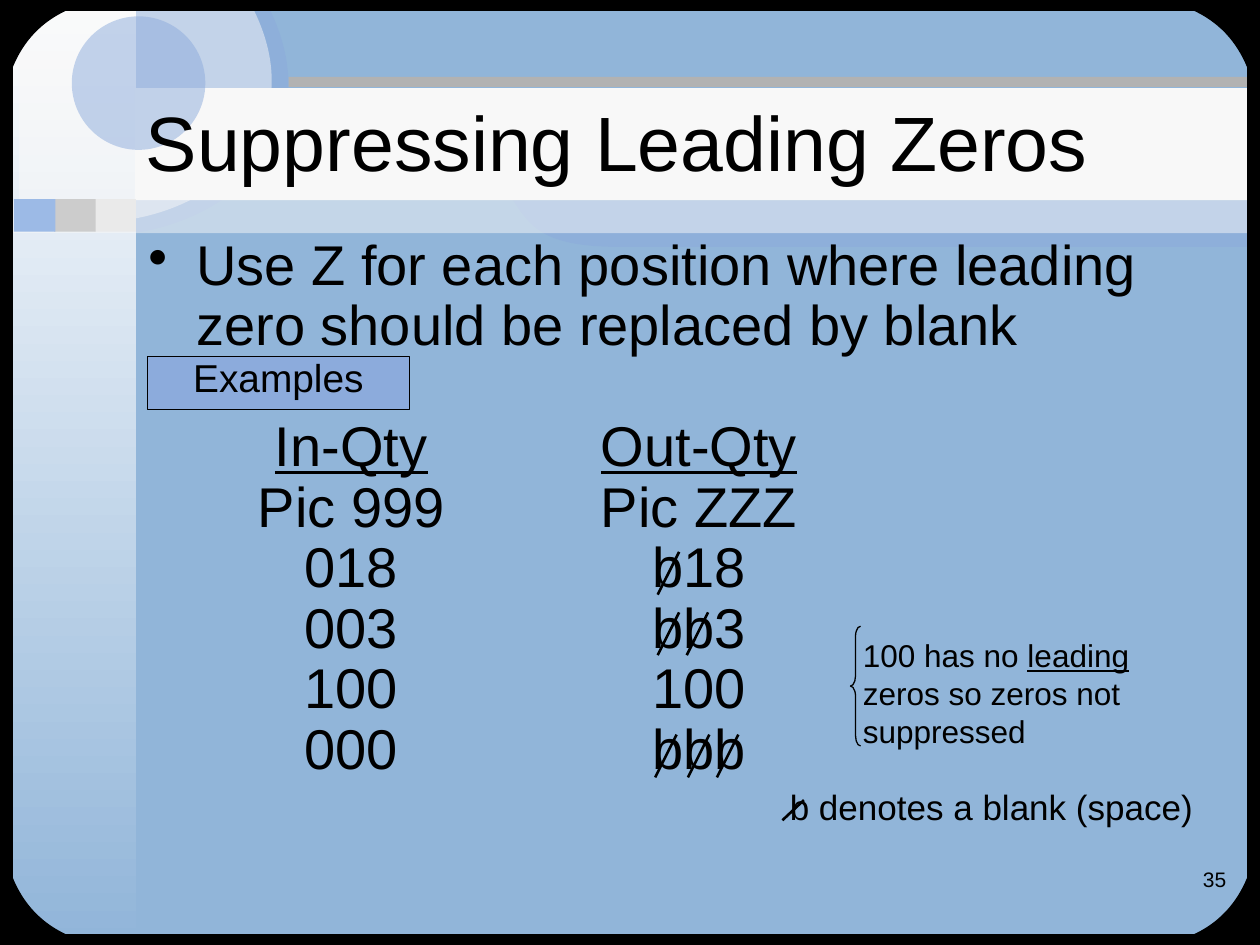
import pptx
import pptx.dml.color
import pptx.enum.shapes
import pptx.enum.text
import pptx.oxml
import pptx.oxml.ns
import pptx.util
from pptx.util import Inches

THEME = {
    "font": "Arial", "black": "000000", "background": "91B5D9", "blue": "8CABDC",
    "pale": "F8F8F8", "bar": "B2B2B2", "white": "FEFEFE",
    "squares": ("EAEAEA", "CCCCCC", "9CBAE6"),
    "title": 44, "body": 32, "label": 22.2, "legend": 20, "note": 18, "number": 12,
    "thin": 0.75, "stroke": 1.5,
}
WIDTH, HEIGHT = 10, 7.5
RECTANGLE = pptx.enum.shapes.MSO_SHAPE.RECTANGLE
OVAL = pptx.enum.shapes.MSO_SHAPE.OVAL
BRACE = pptx.enum.shapes.MSO_SHAPE.LEFT_BRACE
LEFT, CENTER, RIGHT = (pptx.enum.text.PP_ALIGN.LEFT, pptx.enum.text.PP_ALIGN.CENTER,
                       pptx.enum.text.PP_ALIGN.RIGHT)
TOP, MIDDLE = pptx.enum.text.MSO_ANCHOR.TOP, pptx.enum.text.MSO_ANCHOR.MIDDLE

TITLE = "Suppressing Leading Zeros"
BULLET = "Use Z for each position where leading zero should be replaced by blank"
HEADINGS = ["\t", "In-Qty", "\t", "Out-Qty"]
ROWS = [("Pic 999", "Pic ZZZ"), ("018", "b18"), ("003", "bb3"), ("100", "100"), ("000", "bbb")]
COLUMN_CENTERS = (1.61, 4.37)
LEGEND = "b denotes a blank (space)"
NOTE = ["100 has no ", "leading", " zeros so zeros not suppressed"]

SWOOSH = [(4.07, 1.59), (6.99, 1.59), (9.91, 1.59), (9.91, 1.59),
          (9.91, 1.59), (9.91, 1.78), (9.91, 1.96),
          (7.13, 1.96), (5.65, 1.96), (4.91, 1.96),
          (4.29, 1.96), (4.2, 1.78), (4.07, 1.59)]
OUTER_DISC = [(2.13, 0.05), (2.81, 1.41), (1.16, 2.21), (0.15, 1.73),
              (0.15, 1.62), (0.15, 0.32), (0.15, 0.05),
              (0.57, 0.05), (1.48, 0.05), (2.13, 0.05)]
INNER_DISC = [(2.01, 0.07), (2.64, 1.34), (1.09, 2.08), (0.15, 1.63),
              (0.15, 1.53), (0.15, 0.32), (0.15, 0.07),
              (0.54, 0.07), (1.39, 0.07), (2.01, 0.07)]
CORNER = [(0, 0.88), (0, 0.68), (0.01, 0.44), (0.01, 0),
          (0.24, 0), (0.65, 0), (0.77, 0),
          (0.09, 0.14), (0.05, 0.7), (0, 0.88)]
FRAME = [(0, 0, 0.1, HEIGHT), (9.9, 0, 0.1, HEIGHT), (0, 0, WIDTH, 0.08), (0, 7.42, WIDTH, 0.08)]
STRIKES = [(4.38, 0.34, [5.39]), (4.86, 0.34, [5.39, 5.62]),
           (5.83, 0.34, [5.37, 5.63, 5.86]), (6.35, 0.16, [6.38])]
STRIKE_RUN = 0.17


def rgb(color):
    """Turn a hex string into a colour."""
    return pptx.dml.color.RGBColor.from_string(color)


def element(tag, **attributes):
    """Make a drawing element."""
    made = pptx.oxml.parse_xml(f'<a:{tag} {pptx.oxml.ns.nsdecls("a")}/>')
    for name, value in attributes.items():
        made.set(name, str(value))
    return made


def paint(shape, color, alpha=None, outlined=False):
    """Set fill, transparency and outline of a shape without shadow."""
    shape.shadow.inherit = False
    if color:
        shape.fill.solid()
        shape.fill.fore_color.rgb = rgb(color)
    else:
        shape.fill.background()
    if alpha:
        fill_color = shape._element.spPr.find(".//" + pptx.oxml.ns.qn("a:srgbClr"))
        fill_color.append(element("alpha", val=alpha * 1000))
    if outlined:
        shape.line.color.rgb = rgb(THEME["black"])
        shape.line.width = pptx.util.Pt(THEME["thin"])
    else:
        shape.line.fill.background()
    return shape


def add_preset(slide, kind, box, color, **style):
    """Add a painted preset shape."""
    return paint(slide.shapes.add_shape(kind, *map(Inches, box)), color, **style)


def add_outline(slide, points, color, **style):
    """Add a closed outline whose points after the first form cubic curves."""
    points = [(Inches(x), Inches(y)) for x, y in points]
    builder = slide.shapes.build_freeform(*points[0])
    builder.add_line_segments(points[1:], close=True)
    shape = builder.convert_to_shape()
    segments = list(shape._element.iter(pptx.oxml.ns.qn("a:lnTo")))
    for start in range(0, len(segments), 3):
        curve = element("cubicBezTo")
        segments[start].addprevious(curve)
        for segment in segments[start:start + 3]:
            curve.append(segment[0])
            segment.getparent().remove(segment)
    return paint(shape, color, **style)


def write(shape, paragraphs, size, align=LEFT, anchor=TOP, spacing=1.0):
    """Fill a shape with paragraphs, each a list of runs."""
    frame = shape.text_frame
    frame.word_wrap = True
    frame.vertical_anchor = anchor
    for index, texts in enumerate(paragraphs):
        paragraph = frame.paragraphs[0] if index == 0 else frame.add_paragraph()
        paragraph.alignment = align
        paragraph.line_spacing = spacing
        for text in texts:
            run = paragraph.add_run()
            run.text = text
            run.font.name = THEME["font"]
            run.font.size = pptx.util.Pt(size)
            run.font.color.rgb = rgb(THEME["black"])
    return frame


def add_text(slide, box, paragraphs, size, **style):
    """Add a text box with paragraphs."""
    return write(slide.shapes.add_textbox(*map(Inches, box)), paragraphs, size, **style)


def add_backdrop(slide):
    """Draw the decoration and the rounded black frame."""
    slide.background.fill.solid()
    slide.background.fill.fore_color.rgb = rgb(THEME["background"])
    add_outline(slide, SWOOSH, THEME["blue"], alpha=50)
    add_outline(slide, OUTER_DISC, THEME["blue"], alpha=50)
    add_preset(slide, RECTANGLE, (2.29, 0.61, 7.71, 0.08), THEME["bar"])
    sidebar = add_preset(slide, RECTANGLE, (0, 0, 1.08, HEIGHT), THEME["white"])
    sidebar.fill.gradient()
    sidebar.fill.gradient_angle = 270
    for stop, color in zip(sidebar.fill.gradient_stops, (THEME["white"], THEME["background"])):
        stop.color.rgb = rgb(color)
    add_preset(slide, RECTANGLE, (0, 1.59, WIDTH, 0.26), THEME["pale"], alpha=50)
    add_preset(slide, RECTANGLE, (1.07, 0.7, 8.93, 0.89), THEME["pale"])
    add_outline(slide, INNER_DISC, THEME["pale"], alpha=50)
    add_preset(slide, OVAL, (0.57, 0.13, 1.06, 1.06), THEME["blue"], alpha=50)
    for left, color in zip((0.75, 0.43, 0.11), THEME["squares"]):
        add_preset(slide, RECTANGLE, (left, 1.58, 0.33, 0.26), color)
    for box in FRAME:
        add_preset(slide, RECTANGLE, box, THEME["black"], outlined=True)
    for right in (False, True):
        for bottom in (False, True):
            points = [(WIDTH - x if right else x, HEIGHT - y if bottom else y) for x, y in CORNER]
            add_outline(slide, points, THEME["black"], outlined=True)


def add_body(slide):
    """Write the bullet, the two tabbed columns and the legend."""
    lines = [[BULLET], HEADINGS] + [[f"\t{given}\t{shown}"] for given, shown in ROWS] + [[LEGEND]]
    frame = add_text(slide, (1.08, 1.83, 8.6, 4.87), lines, THEME["body"], spacing=0.9)
    bullet, heading, *rows, legend = frame.paragraphs
    properties = bullet._p.get_or_add_pPr()
    properties.set("marL", str(Inches(0.38)))
    properties.set("indent", str(Inches(-0.38)))
    properties.append(element("buChar", char="•"))
    heading.space_before = pptx.util.Pt(34.6)
    for run in heading.runs[1::2]:
        run.font.underline = True
    for paragraph in (heading, *rows):
        stops = element("tabLst")
        for center in COLUMN_CENTERS:
            stops.append(element("tab", pos=Inches(center), algn="ctr"))
        paragraph._p.get_or_add_pPr().append(stops)
    legend.space_before = pptx.util.Pt(5)
    legend._p.get_or_add_pPr().set("marL", str(Inches(5.09)))
    legend.runs[0].font.size = pptx.util.Pt(THEME["legend"])


def add_content(slide):
    """Write the texts and strike out the blanks."""
    add_text(slide, (1.06, 0.49, 8.7, 1.25), [[TITLE]], THEME["title"], anchor=MIDDLE)
    add_body(slide)
    label = add_preset(slide, RECTANGLE, (1.17, 2.83, 2.08, 0.42), THEME["blue"], outlined=True)
    write(label, [["Examples"]], THEME["label"], align=CENTER, spacing=0.8)
    note = add_text(slide, (6.75, 5, 2.83, 1), [NOTE], THEME["note"])
    note.paragraphs[0].runs[1].font.underline = True
    brace = add_preset(slide, BRACE, (6.75, 4.97, 0.08, 0.95), None, outlined=True)
    brace.adjustments[0] = 1.0
    for top, height, starts in STRIKES:
        for start in starts:
            ends = map(Inches, (start, top, start - STRIKE_RUN, top + height))
            strike = slide.shapes.add_connector(pptx.enum.shapes.MSO_CONNECTOR.STRAIGHT, *ends)
            strike.line.color.rgb = rgb(THEME["black"])
            strike.line.width = pptx.util.Pt(THEME["stroke"])
            strike._element.spPr.append(element("effectLst"))
    add_text(slide, (7.75, 6.83, 2.08, 0.5), [["35"]], THEME["number"], align=RIGHT)


def main():
    """Build the slide and save it."""
    presentation = pptx.Presentation()
    presentation.slide_width, presentation.slide_height = Inches(WIDTH), Inches(HEIGHT)
    slide = presentation.slides.add_slide(presentation.slide_layouts[6])
    add_backdrop(slide)
    add_content(slide)
    presentation.save("out.pptx")


if __name__ == "__main__":
    main()
